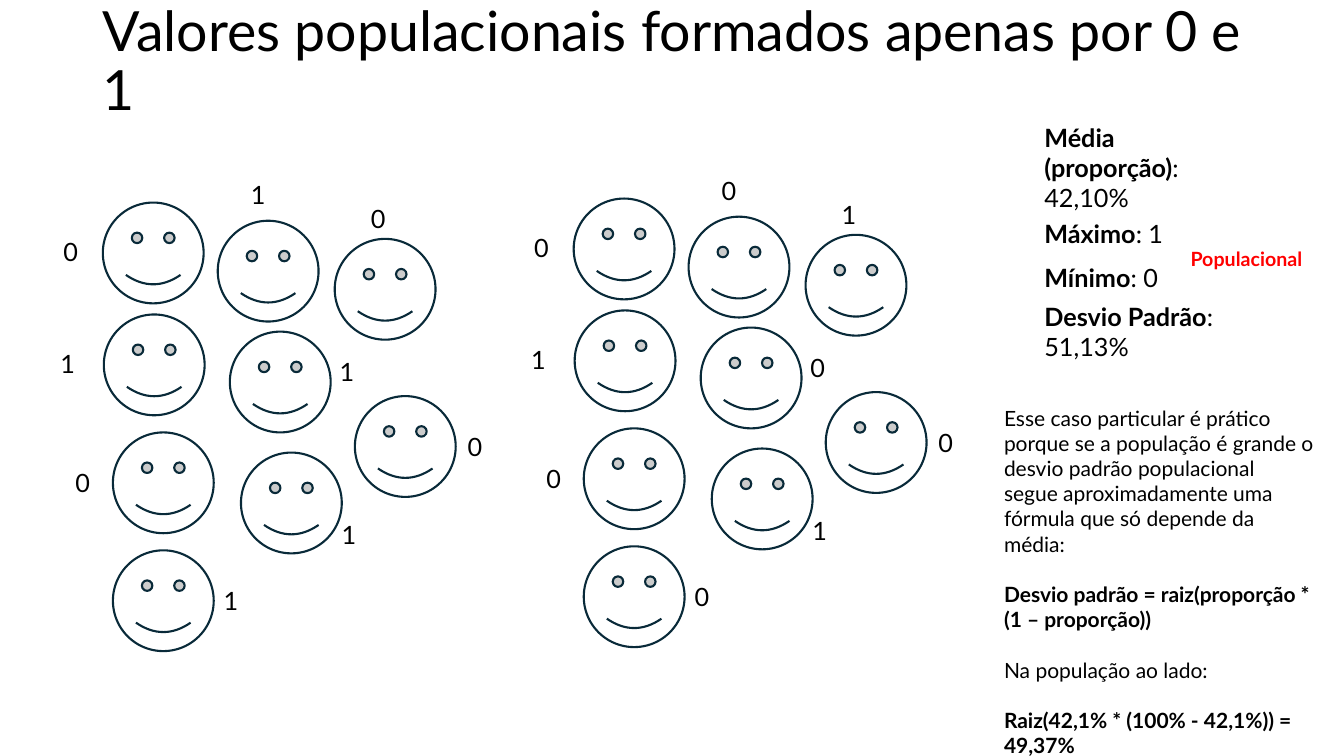
from pptx import Presentation
from pptx import util as u
from pptx.dml.color import RGBColor
from pptx.enum import shapes, text

BLACK, WHITE, RED, NAVY = "000000", "FFFFFF", "FF0000", "092A39"


def color(hex_string):
    return RGBColor.from_string(hex_string)


class SlideBuilder:
    font_name = "Lato"
    face_size = 1

    def __init__(self, slide):
        self.slide = slide

    def face(self, left, top):
        shape = self.slide.shapes.add_shape(
            shapes.MSO_SHAPE.SMILEY_FACE, u.Inches(left), u.Inches(top),
            u.Inches(self.face_size), u.Inches(self.face_size))
        shape.shadow.inherit = False
        shape.fill.solid()
        shape.fill.fore_color.rgb = color(WHITE)
        shape.line.color.rgb = color(NAVY)
        shape.line.width = u.Pt(1.5)

    def text(self, box, paragraphs, size=18, font_color=BLACK, frame_format=None, paragraph_format=None):
        """Add a text box; each paragraph is a list of (wording, bold) runs."""
        shape = self.slide.shapes.add_textbox(*map(u.Inches, box))
        frame = shape.text_frame
        frame_values = {"word_wrap": True, "auto_size": text.MSO_AUTO_SIZE.SHAPE_TO_FIT_TEXT}
        for name, value in (frame_values | (frame_format or {})).items():
            setattr(frame, name, value)
        for index, runs in enumerate(paragraphs):
            paragraph = frame.add_paragraph() if index else frame.paragraphs[0]
            for name, value in (paragraph_format or {}).items():
                setattr(paragraph, name, value)
            for wording, bold in runs:
                run = paragraph.add_run()
                run.text = wording
                font_values = {"name": self.font_name, "size": u.Pt(size), "bold": bold}
                for name, value in font_values.items():
                    setattr(run.font, name, value)
                run.font.color.rgb = color(font_color)

    def value_label(self, left, top, value):
        self.text((left, top, 0.34, 0.4), [[(value, False)]], frame_format={"word_wrap": False})

    def statistic(self, top, height, name, value):
        self.text((10.26, top, 1.93, height), [[(name, True), (f": {value}", False)]])


# Face position, then label position, in the left group
PEOPLE = [
    ((1.02, 2.01), (0.53, 2.30)),
    ((2.16, 2.19), (2.39, 1.73)),
    ((3.32, 2.37), (3.58, 1.97)),
    ((1.03, 3.12), (0.50, 3.41)),
    ((2.28, 3.29), (3.27, 3.49)),
    ((3.52, 3.93), (4.54, 4.23)),
    ((1.12, 4.29), (0.65, 4.59)),
    ((2.39, 4.49), (3.29, 5.10)),
    ((1.12, 5.46), (2.12, 5.76)),
]

# Horizontal shift, vertical shift and the values of each group
GROUPS = [(0, 0, "010110011"), (4.67, -0.04, "001100010")]

STATISTICS = [
    (1.16, 1.01, "Média (proporção)", "42,10%"),
    (2.12, 0.4, "Máximo", "1"),
    (2.55, 0.4, "Mínimo", "0"),
    (2.94, 0.71, "Desvio Padrão", "51,13%"),
]

EXPLANATION = [
    [("Esse caso particular é prático porque se a população é grande o desvio padrão "
      "populacional segue aproximadamente uma fórmula que só depende da média:", False)],
    [("Desvio padrão = raiz(proporção * (1 – proporção))", True)],
    [("Na população ao lado:", False)],
    [("Raiz(42,1% * (100% - 42,1%)) = 49,37%", True)],
]


def main():
    presentation = Presentation()
    presentation.slide_width = u.Inches(13.33)
    presentation.slide_height = u.Inches(7.5)
    builder = SlideBuilder(presentation.slides.add_slide(presentation.slide_layouts[6]))

    for shift_x, shift_y, values in GROUPS:
        for (face, label), value in zip(PEOPLE, values):
            builder.face(face[0] + shift_x, face[1] + shift_y)
            builder.value_label(label[0] + shift_x, label[1] + shift_y, value)

    builder.text(
        (0.92, 0.4, 11.5, 0.45), [[("Valores populacionais formados apenas por 0 e 1", False)]], size=39.6,
        frame_format={"auto_size": text.MSO_AUTO_SIZE.NONE, "vertical_anchor": text.MSO_ANCHOR.MIDDLE},
        paragraph_format={"line_spacing": 0.9})
    for statistic in STATISTICS:
        builder.statistic(*statistic)
    builder.text((11.71, 2.4, 1.62, 0.34), [[("Populacional", True)]], size=14, font_color=RED)
    builder.text((9.86, 3.97, 3.27, 3.38), EXPLANATION, size=15,
                 paragraph_format={"space_before": u.Pt(18)})

    presentation.save("out.pptx")


if __name__ == "__main__":
    main()
